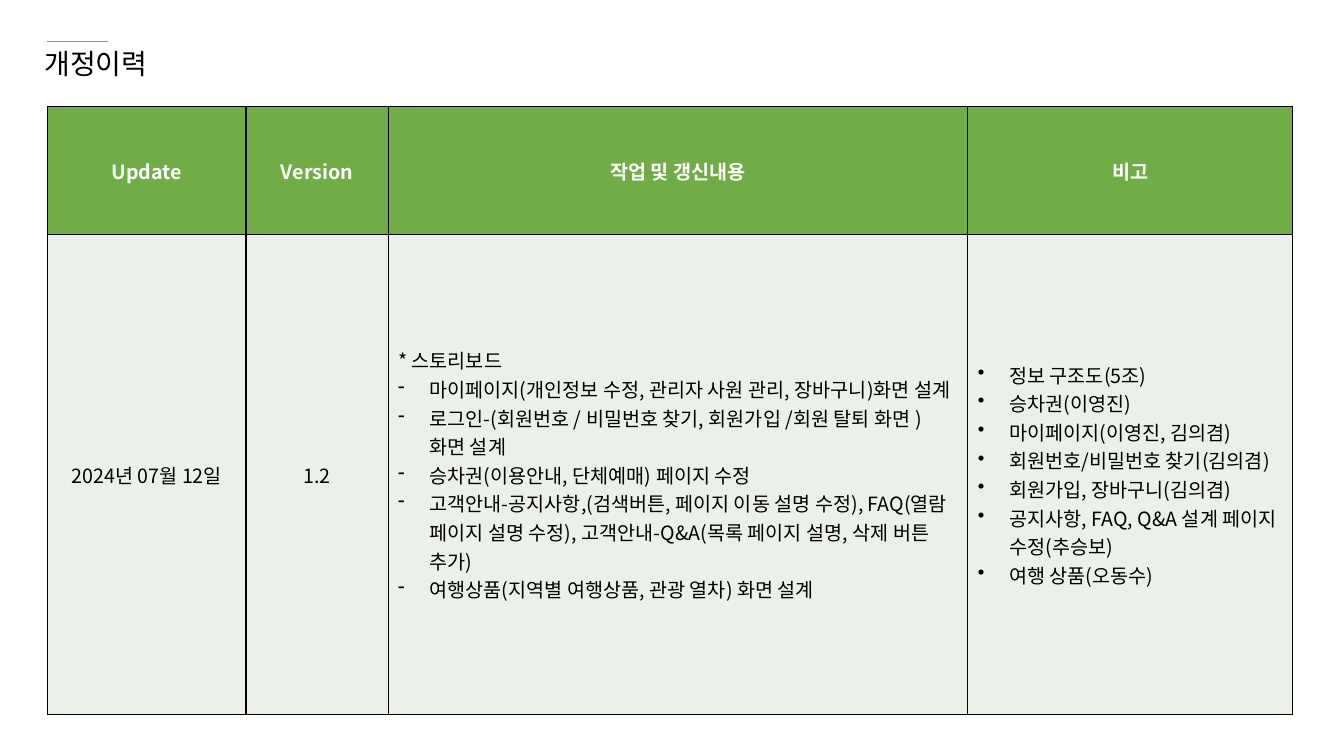
from dataclasses import dataclass

from lxml.etree import SubElement as Sub
from pptx import Presentation
from pptx.dml.color import RGBColor as RGB
from pptx.enum.shapes import MSO_CONNECTOR as Link
from pptx.enum.text import MSO_ANCHOR as Anchor, PP_ALIGN as Align
from pptx.oxml import parse_xml
from pptx.oxml.ns import nsdecls, qn
from pptx.util import Inches, Pt


@dataclass(frozen=True)
class Theme:
    font: str = "Noto Sans CJK KR"
    green: str = "70AD47"
    pale: str = "EBF1E9"
    ink: str = "000000"
    white: str = "FFFFFF"
    title: int = 20
    body: int = 14
    rule: int = 1


THEME = Theme()
LEFT, TOP = 0.47, 1.06
COLS = [1.97, 1.41, 5.75, 3.22]
ROWS = [1.27, 4.76]
INDENT = 0.31

HEADS = ["Update", "Version", "작업 및 갱신내용", "비고"]
DATE = "2024년 07월 12일"
VERSION = "1.2"
TOPIC = "* 스토리보드"
WORK = [
    "마이페이지(개인정보 수정, 관리자 사원 관리, 장바구니)화면 설계",
    "로그인-(회원번호 / 비밀번호 찾기, 회원가입 /회원 탈퇴 화면 )화면 설계",
    "승차권(이용안내, 단체예매) 페이지 수정",
    "고객안내-공지사항,(검색버튼, 페이지 이동 설명 수정), "
    "FAQ(열람 페이지 설명 수정), 고객안내-Q&A(목록 페이지 설명, 삭제 버튼 추가)",
    "여행상품(지역별 여행상품, 관광 열차) 화면 설계",
]
NOTES = [
    "정보 구조도(5조)",
    "승차권(이영진)",
    "마이페이지(이영진, 김의겸)",
    "회원번호/비밀번호 찾기(김의겸)",
    "회원가입, 장바구니(김의겸)",
    "공지사항, FAQ, Q&A 설계 페이지 수정(추승보)",
    "여행 상품(오동수)",
]


def add_run(para, text, size, color, bold=False):
    run = para.add_run()
    run.text = text
    font = run.font
    font.size, font.bold, font.name = Pt(size), bold, THEME.font
    font.color.rgb = RGB.from_string(color)
    # East Asian letters need their own typeface entry
    Sub(font._element, qn("a:ea"), typeface=THEME.font)


def add_mark(para, mark):
    props = para._p.get_or_add_pPr()
    props.set("marL", str(Inches(INDENT)))
    props.set("indent", str(-Inches(INDENT)))
    Sub(props, qn("a:buChar"), char=mark)


def add_edges(cell):
    props = cell._tc.get_or_add_tcPr()
    for spot, side in enumerate("LRTB"):
        props.insert(spot, parse_xml(
            f'<a:ln{side} {nsdecls("a")} w="{Pt(THEME.rule)}"><a:solidFill>'
            f'<a:srgbClr val="{THEME.ink}"/></a:solidFill></a:ln{side}>'))


def fill_cell(cell, lines, fill, color, bold=False, align=Align.CENTER):
    """Each line is a pair of bullet mark (or None) and text."""
    cell.fill.solid()
    cell.fill.fore_color.rgb = RGB.from_string(fill)
    cell.vertical_anchor = Anchor.MIDDLE
    add_edges(cell)
    frame = cell.text_frame
    for spot, (mark, text) in enumerate(lines):
        para = frame.add_paragraph() if spot else frame.paragraphs[0]
        para.alignment = align
        if mark:
            add_mark(para, mark)
        add_run(para, text, THEME.body, color, bold)


def add_title(slide, text):
    box = slide.shapes.add_textbox(
        Inches(0.34), Inches(0.41), Inches(1.82), Inches(0.77))
    box.text_frame.word_wrap = True
    add_run(box.text_frame.paragraphs[0], text, THEME.title, THEME.ink)


def add_rule(slide):
    line = slide.shapes.add_connector(
        Link.STRAIGHT, Inches(LEFT), Inches(0.41), Inches(1.07), Inches(0.41))
    line.line.color.rgb = RGB.from_string(THEME.green)
    line.line.width = Pt(THEME.rule)
    Sub(line._element.spPr, qn("a:effectLst"))


def add_grid(slide):
    grid = slide.shapes.add_table(
        len(ROWS), len(COLS), Inches(LEFT), Inches(TOP),
        Inches(sum(COLS)), Inches(sum(ROWS))).table
    for col, width in zip(grid.columns, COLS):
        col.width = Inches(width)
    for row, height in zip(grid.rows, ROWS):
        row.height = Inches(height)

    # Header row
    for col, head in enumerate(HEADS):
        fill_cell(grid.cell(0, col), [(None, head)],
                  THEME.green, THEME.white, bold=True)

    # Revision entry
    entry = [
        ([(None, DATE)], Align.CENTER),
        ([(None, VERSION)], Align.CENTER),
        ([(None, TOPIC)] + [("-", text) for text in WORK], Align.LEFT),
        ([("•", text) for text in NOTES], Align.LEFT),
    ]
    for col, (lines, align) in enumerate(entry):
        fill_cell(grid.cell(1, col), lines, THEME.pale, THEME.ink, align=align)


def main():
    deck = Presentation()
    deck.slide_width, deck.slide_height = Inches(13.33), Inches(7.5)
    slide = deck.slides.add_slide(deck.slide_layouts[6])
    add_title(slide, "개정이력")
    add_rule(slide)
    add_grid(slide)
    deck.save("out.pptx")


if __name__ == "__main__":
    main()
